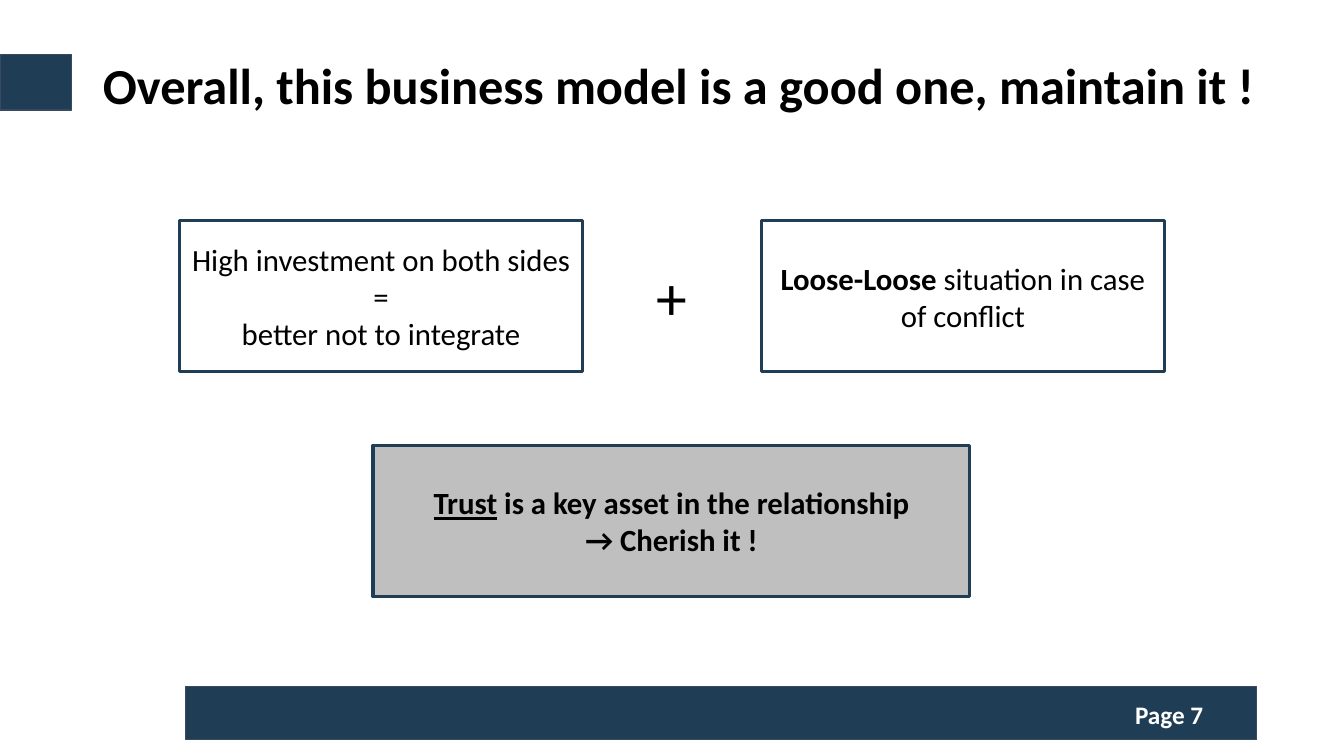
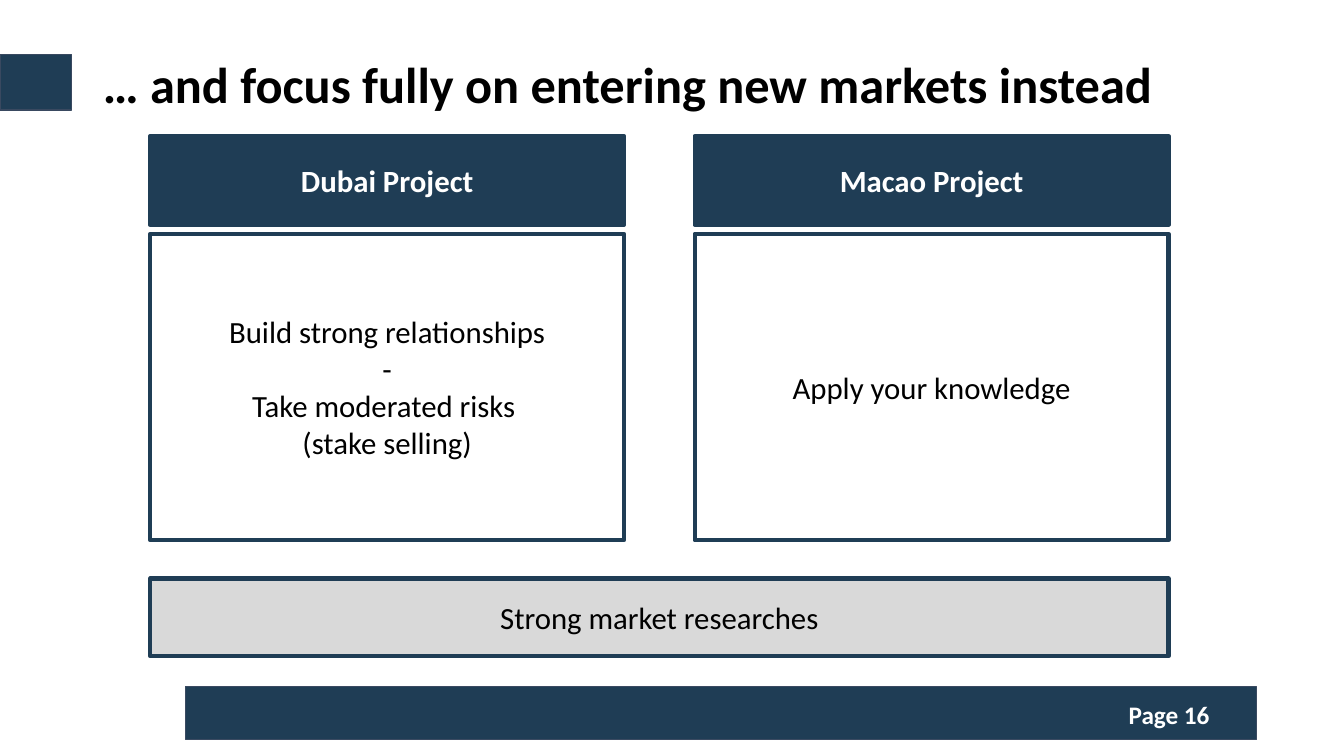
from pptx import Presentation
from pptx.dml.color import RGBColor
from pptx.enum.shapes import MSO_SHAPE
from pptx.enum.text import MSO_ANCHOR, MSO_AUTO_SIZE, PP_ALIGN
from pptx.util import Emu, Pt

PX = 9144  # EMU per px, 100 px to the inch
FONT = "Calibri"
NAVY, BLACK, WHITE = "1F3D55", "000000", "FFFFFF"
GREY, LIGHT_GREY = "BFBFBF", "D9D9D9"

# Bands on every slide: box, line colour, line width
BANDS = [
    ((0, 54, 71, 55), "394960", 1),
    ((184, 681, 1062, 53), "3A4A61", 0.75),
]
PAGE_BOX = (1077, 689, 165, 40)

# A text is a list of paragraphs, a paragraph a list of (words, style) runs
TRUST = {
    "title": "Overall, this business model is a good one, maintain it !",
    "title_box": (92, 49, 1195, 71),
    "page": "Page 7",
    "reasons": [
        [[("High investment on both sides ", "")], [("=", "")],
         [("better not to integrate", "")]],
        [[("Loose-Loose", "b"), (" situation in case of conflict", "")]],
    ],
    "conclusion": [
        [("Trust", "bu"), (" is a key asset in the relationship", "b")],
        [("→ Cherish it !", "b")],
    ],
}
MARKETS = {
    "title": "… and focus fully on entering new markets instead",
    "title_box": (92, 48, 1150, 71),
    "page": "Page 16",
    "projects": [
        ("Dubai Project", ["Build strong relationships", "-",
                           "Take moderated risks ", "(stake selling)"]),
        ("Macao Project", ["Apply your knowledge"]),
    ],
    "base": "Strong market researches",
}


def rgb(color):
    return RGBColor.from_string(color)


def emu(box):
    return [Emu(v * PX) for v in box]


def write(tf, paragraphs, size=22, color=BLACK, align=PP_ALIGN.CENTER):
    tf.word_wrap = True
    for i, runs in enumerate(paragraphs):
        p = tf.add_paragraph() if i else tf.paragraphs[0]
        p.alignment = align
        for words, style in runs:
            r = p.add_run()
            r.text = words
            r.font.name, r.font.size = FONT, Pt(size)
            r.font.bold = "b" in style
            r.font.underline = "u" in style
            r.font.color.rgb = rgb(color)


def add_box(s, box, fill, line=NAVY, width=3.0, paragraphs=(), color=BLACK):
    sp = s.shapes.add_shape(MSO_SHAPE.RECTANGLE, *emu(box))
    sp.shadow.inherit = False
    sp.fill.solid()
    sp.fill.fore_color.rgb = rgb(fill)
    sp.line.color.rgb = rgb(line)
    sp.line.width = Pt(width)
    sp.text_frame.vertical_anchor = MSO_ANCHOR.MIDDLE
    write(sp.text_frame, paragraphs, color=color)


def add_text(s, box, words, **style):
    sp = s.shapes.add_textbox(*emu(box))
    write(sp.text_frame, [[words]], **style)


def add_slide(prs, content):
    """Add a slide with the shared bands, page label and title."""
    s = prs.slides.add_slide(prs.slide_layouts[5])
    for box, line, width in BANDS:
        add_box(s, box, NAVY, line, width)
    add_text(s, PAGE_BOX, (content["page"], "b"), size=18, color=WHITE)
    title = s.shapes.title
    title.left, title.top, title.width, title.height = emu(content["title_box"])
    tf = title.text_frame
    tf.auto_size = MSO_AUTO_SIZE.NONE
    tf.vertical_anchor = MSO_ANCHOR.TOP
    write(tf, [[(content["title"], "b")]], size=36, align=PP_ALIGN.LEFT)
    return s


def build_trust(prs):
    s = add_slide(prs, TRUST)
    left, top, width, height, step = 178, 219, 400, 150, 577
    for i, reason in enumerate(TRUST["reasons"]):
        add_box(s, (left + i * step, top, width, height), WHITE,
                width=2.25, paragraphs=reason)
    middle = left + (step + width) // 2
    conclusion_width = 592
    add_box(s, (middle - conclusion_width // 2, 442, conclusion_width, height),
            GREY, width=2.25, paragraphs=TRUST["conclusion"])
    plus_width = 80
    add_text(s, (middle - plus_width // 2, 252, plus_width, 84), ("+", ""), size=44)


def build_markets(prs):
    s = add_slide(prs, MARKETS)
    left, width, gap = 149, 470, 70
    for i, (name, lines) in enumerate(MARKETS["projects"]):
        x = left + i * (width + gap)
        add_box(s, (x, 232, width, 304), WHITE,
                paragraphs=[[(line, "")] for line in lines])
        add_box(s, (x, 135, width, 88), NAVY,
                paragraphs=[[(name, "b")]], color=WHITE)
    add_box(s, (left, 574, 2 * width + gap, 77), LIGHT_GREY,
            paragraphs=[[(MARKETS["base"], "")]])


def main():
    prs = Presentation()
    prs.slide_width, prs.slide_height = emu((1333, 750))
    build_trust(prs)
    build_markets(prs)
    prs.save("out.pptx")


if __name__ == "__main__":
    main()
